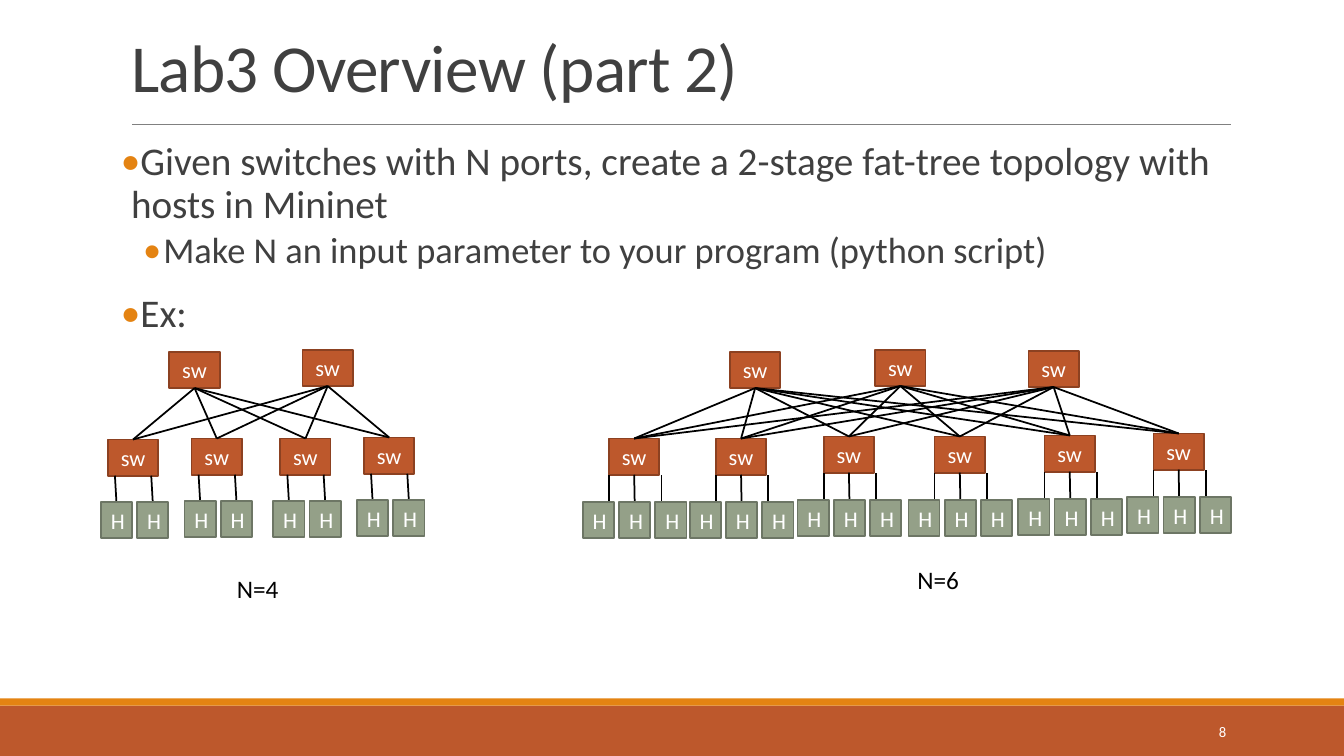
from lxml.etree import SubElement
from pptx import Presentation
from pptx.dml.color import RGBColor
from pptx.enum.shapes import MSO_CONNECTOR, MSO_SHAPE
from pptx.enum.text import MSO_ANCHOR, MSO_AUTO_SIZE, PP_ALIGN
from pptx.oxml.ns import qn
from pptx.util import Inches, Pt

W, H = 13.33, 7.5
FONT = "Calibri"
TEXT, RUST, ORANGE, SAGE = "404040", "BD582C", "E48312", "94A088"
WHITE, BLACK = "FFFFFF", "000000"
SWITCH_W, HOST_W, NODE_H = 0.5, 0.31, 0.36
HOST_PITCH = 0.36
WIRE_LEN = 0.26

# Positions are relative to the top left of each tree's box
TREES = [
    dict(label="N=4", box=(0.99, 3.47), label_at=(0.17, 2.1),
         spines=[(0.69, 0.02), (2.01, 0)],
         leaves=[(0.08, 0.89), (0.91, 0.88), (1.79, 0.88), (2.62, 0.87)],
         hosts=2, host_start=(-0.07, 0.62), wire_start=0.07, wire_pitch=0.36),
    dict(label="N=6", box=(5.78, 3.47), label_at=(2.13, 2.01),
         spines=[(1.46, 0.02), (2.9, 0), (4.42, 0.01)],
         leaves=[(0.26, 0.88), (1.32, 0.88), (2.39, 0.86),
                 (3.49, 0.86), (4.58, 0.85), (5.66, 0.83)],
         hosts=3, host_start=(-0.26, 0.63), wire_start=0, wire_pitch=0.26),
]
BULLETS = [
    (0, "Given switches with N ports, create a 2-stage fat-tree topology with hosts in Mininet"),
    (1, "Make N an input parameter to your program (python script)"),
    (0, "Ex:"),
]
LEVELS = [
    dict(size=28, margin=0.1, indent=-0.1, before=12, after=2),
    dict(size=26, margin=0.42, indent=-0.2, before=2, after=4),
]


def color(value):
    return RGBColor.from_string(value)


def set_text(p, text, size, fill, align=None):
    r = p.add_run()
    r.text = text
    for name, value in dict(name=FONT, size=Pt(size)).items():
        setattr(r.font, name, value)
    r.font.color.rgb = color(fill)
    p.alignment = align
    return r


def add_text(s, box, text, size, fill, align):
    sp = s.shapes.add_textbox(*map(Inches, box))
    tf = sp.text_frame
    for name, value in dict(word_wrap=True, vertical_anchor=MSO_ANCHOR.MIDDLE).items():
        setattr(tf, name, value)
    set_text(tf.paragraphs[0], text, size, fill, align)


def add_box(s, box, fill, line=None, text=None):
    sp = s.shapes.add_shape(MSO_SHAPE.RECTANGLE, *map(Inches, box))
    sp.shadow.inherit = False
    sp.fill.solid()
    sp.fill.fore_color.rgb = color(fill)
    if line:
        sp.line.color.rgb = color(line)
        sp.line.width = Pt(1.25)
    else:
        sp.line.fill.background()
    if text:
        sp.text_frame.vertical_anchor = MSO_ANCHOR.MIDDLE
        set_text(sp.text_frame.paragraphs[0], text, 16, WHITE, PP_ALIGN.CENTER)
    return sp


def add_line(s, start, end, fill=BLACK, width=1.25):
    line = s.shapes.add_connector(MSO_CONNECTOR.STRAIGHT, *map(Inches, (*start, *end)))
    line.line.color.rgb = color(fill)
    line.line.width = Pt(width)
    SubElement(line._element.spPr, qn("a:effectLst"))
    return line


def add_frame(s):
    # Footer bands, title rule and page number
    add_box(s, (0, 7, W, 0.5), RUST)
    add_box(s, (0, 6.93, W, 0.07), ORANGE)
    add_line(s, (1.31, 1.23), (12.21, 1.23), "808080", 0.5)
    add_text(s, (10.83, 7.06, 1.43, 0.4), "8", 10.5, WHITE, PP_ALIGN.RIGHT)


def add_title(s, box, text):
    sp = s.shapes.title
    sp.left, sp.top, sp.width, sp.height = map(Inches, box)
    tf = sp.text_frame
    for name, value in dict(word_wrap=True, auto_size=MSO_AUTO_SIZE.NONE,
                            vertical_anchor=MSO_ANCHOR.BOTTOM).items():
        setattr(tf, name, value)
    p = tf.paragraphs[0]
    p.line_spacing = 0.85
    r = set_text(p, text, 48, TEXT, PP_ALIGN.LEFT)
    r.font._element.set("spc", "-50")


def add_bullets(s, box):
    tf = s.shapes.add_textbox(*map(Inches, box)).text_frame
    for name, value in dict(word_wrap=True, margin_left=0, margin_right=0).items():
        setattr(tf, name, value)
    for i, (level, text) in enumerate(BULLETS):
        style = LEVELS[level]
        p = tf.add_paragraph() if i else tf.paragraphs[0]
        set_text(p, text, style["size"], TEXT)
        for name, value in dict(level=level, line_spacing=0.9,
                                space_before=Pt(style["before"]),
                                space_after=Pt(style["after"])).items():
            setattr(p, name, value)
        pPr = p._p.get_or_add_pPr()
        pPr.set("marL", str(Inches(style["margin"])))
        pPr.set("indent", str(Inches(style["indent"])))
        SubElement(SubElement(pPr, qn("a:buClr")), qn("a:srgbClr"), val=ORANGE)
        SubElement(pPr, qn("a:buFont"), typeface=FONT)
        SubElement(pPr, qn("a:buChar"), char="•")


def add_hosts(s, leaf, x, y, tree):
    dx, dy = tree["host_start"]
    for i in range(tree["hosts"]):
        host_x = x + dx + i * HOST_PITCH
        wire_x = x + tree["wire_start"] + i * tree["wire_pitch"]
        wire_y = y + NODE_H
        wire = add_line(s, (wire_x, wire_y + WIRE_LEN), (wire_x, wire_y))
        host = add_box(s, (host_x, y + dy, HOST_W, NODE_H), SAGE, "6D7665", "H")
        # Join wires that meet the middle of a side
        if abs(wire_x - host_x - HOST_W / 2) < 0.03:
            wire.begin_connect(host, 0)
        if abs(wire_x - x - SWITCH_W / 2) < 0.03:
            wire.end_connect(leaf, 2)


def add_fat_tree(s, tree):
    left, top = tree["box"]

    def add_switches(stage):
        return [add_box(s, (left + x, top + y, SWITCH_W, NODE_H), RUST, "8C4121", "sw")
                for x, y in tree[stage]]

    spines, leaves = add_switches("spines"), add_switches("leaves")

    # Every leaf links to every spine
    for spine in spines:
        for leaf in leaves:
            link = add_line(s, (left, top), (left, top))
            link.begin_connect(leaf, 0)
            link.end_connect(spine, 2)
    for leaf, (x, y) in zip(leaves, tree["leaves"]):
        add_hosts(s, leaf, left + x, top + y, tree)

    dx, dy = tree["label_at"]
    add_text(s, (left + dx, top + dy, 2.79, 0.54), tree["label"], 18, BLACK, PP_ALIGN.CENTER)


def main():
    prs = Presentation()
    prs.slide_width, prs.slide_height = Inches(W), Inches(H)
    s = prs.slides.add_slide(prs.slide_layouts[5])
    add_frame(s)
    add_title(s, (1.2, 0.31, 11, 0.79), "Lab3 Overview (part 2)")
    add_bullets(s, (1.2, 1.36, 11, 5.06))
    for tree in TREES:
        add_fat_tree(s, tree)
    prs.save("out.pptx")


if __name__ == "__main__":
    main()
